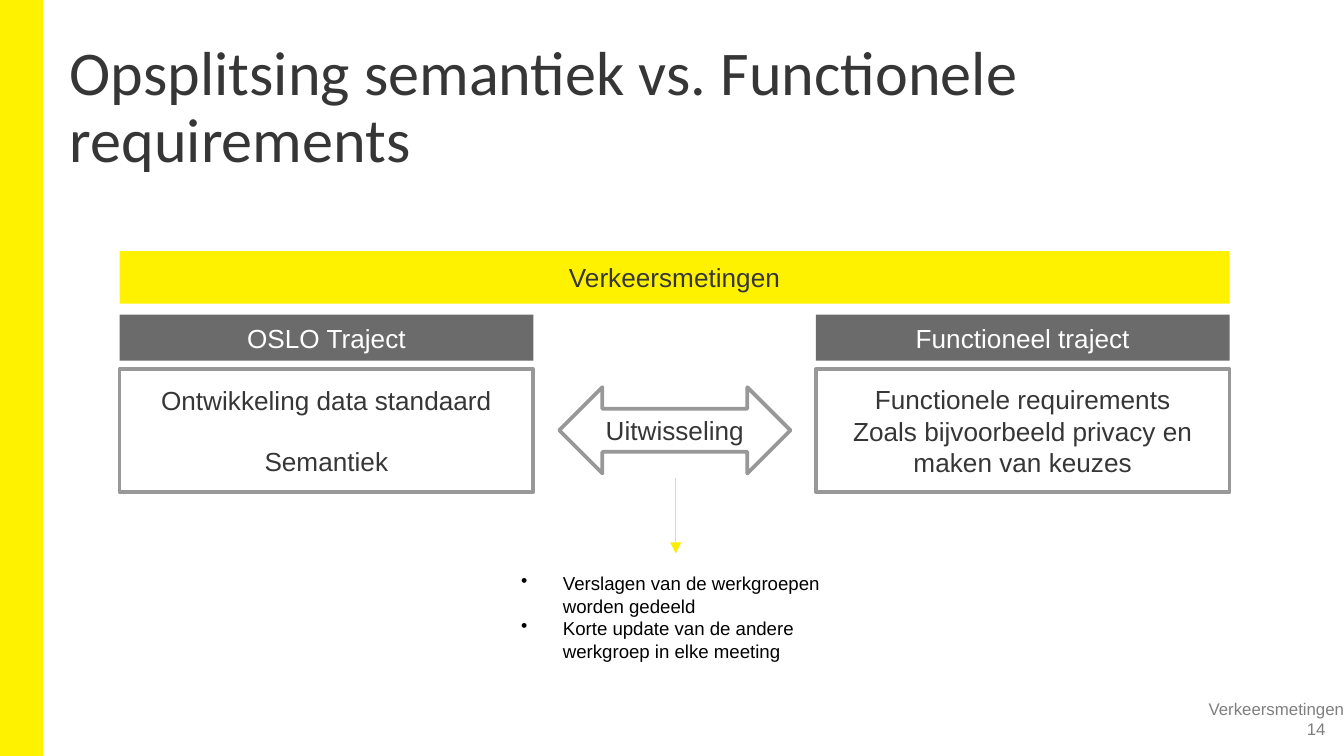
from dataclasses import dataclass
from typing import Optional

from lxml.etree import SubElement
from pptx import Presentation
from pptx.dml.color import RGBColor
from pptx.enum.shapes import MSO_CONNECTOR, MSO_SHAPE
from pptx.enum.text import MSO_ANCHOR, PP_ALIGN
from pptx.oxml.ns import qn
from pptx.util import Cm, Pt


@dataclass(frozen=True)
class Theme:
    yellow: str = "FFF200"
    arrow: str = "F9ED00"
    dark: str = "373636"
    header: str = "6B6B6B"
    border: str = "989898"
    footer: str = "7F7F7F"
    white: str = "FFFFFF"
    black: str = "000000"
    title_font: str = "Calibri"
    body_font: str = "Arial"
    title_size: float = 33.3
    block_size: float = 14
    note_size: float = 10
    footer_size: float = 9


THEME = Theme()


@dataclass(frozen=True)
class Area:
    left: float
    top: float
    width: float
    height: float

    def lengths(self) -> tuple:
        return Cm(self.left), Cm(self.top), Cm(self.width), Cm(self.height)


@dataclass(frozen=True)
class Block:
    area: Area
    lines: tuple = ()
    fill: str = THEME.white
    border: Optional[str] = None
    border_width: float = 2
    color: str = THEME.dark
    gap: float = 0
    kind: MSO_SHAPE = MSO_SHAPE.RECTANGLE


@dataclass(frozen=True)
class Label:
    area: Area
    text: str
    size: float = THEME.footer_size
    color: str = THEME.footer
    font: str = THEME.body_font
    align: PP_ALIGN = PP_ALIGN.RIGHT
    spacing: float = 1.0


def write_lines(frame, lines: tuple, size: float, color: str, font: str, align: PP_ALIGN) -> list:
    frame.word_wrap = True
    paragraphs = []
    for index, line in enumerate(lines):
        para = frame.paragraphs[0] if index == 0 else frame.add_paragraph()
        para.text = line
        para.alignment = align
        para.font.size = Pt(size)
        para.font.name = font
        para.font.color.rgb = RGBColor.from_string(color)
        paragraphs.append(para)
    return paragraphs


def draw_block(page, block: Block) -> None:
    shape = page.shapes.add_shape(block.kind, *block.area.lengths())
    shape.shadow.inherit = False
    shape.fill.solid()
    shape.fill.fore_color.rgb = RGBColor.from_string(block.fill)
    if block.border:
        shape.line.color.rgb = RGBColor.from_string(block.border)
        shape.line.width = Pt(block.border_width)
    else:
        shape.line.fill.background()
    frame = shape.text_frame
    frame.vertical_anchor = MSO_ANCHOR.MIDDLE
    paragraphs = write_lines(frame, block.lines, THEME.block_size, block.color,
                             THEME.body_font, PP_ALIGN.CENTER)
    if block.gap:
        for para in paragraphs[1:]:
            para.space_before = Pt(block.gap)


def draw_label(page, label: Label) -> None:
    frame = page.shapes.add_textbox(*label.area.lengths()).text_frame
    frame.margin_left = frame.margin_right = frame.margin_top = frame.margin_bottom = 0
    frame.vertical_anchor = MSO_ANCHOR.BOTTOM
    for para in write_lines(frame, (label.text,), label.size, label.color, label.font, label.align):
        para.line_spacing = label.spacing


def draw_arrow(page, x: float, top: float, bottom: float) -> None:
    arrow = page.shapes.add_connector(MSO_CONNECTOR.STRAIGHT, Cm(x), Cm(top), Cm(x), Cm(bottom))
    arrow.line.color.rgb = RGBColor.from_string(THEME.arrow)
    arrow.line.width = Pt(0.75)
    properties = arrow.element.spPr
    SubElement(properties.find(qn("a:ln")), qn("a:tailEnd"), type="triangle")
    SubElement(properties, qn("a:effectLst"))


def draw_bullets(page, area: Area, lines: tuple) -> None:
    frame = page.shapes.add_textbox(*area.lengths()).text_frame
    for para in write_lines(frame, lines, THEME.note_size, THEME.black,
                            THEME.body_font, PP_ALIGN.LEFT):
        properties = para._p.get_or_add_pPr()
        indent = Cm(0.79)
        properties.set("marL", str(indent))
        properties.set("indent", str(-indent))
        bullet = properties.makeelement(qn("a:buChar"), {"char": "•"})
        properties.insert_element_before(bullet, "a:tabLst", "a:defRPr", "a:extLst")


def main() -> None:
    deck = Presentation()
    deck.slide_width, deck.slide_height = Cm(25.4), Cm(14.29)
    page = deck.slides.add_slide(deck.slide_layouts[6])

    left, total_width, column_width = 2.26, 20.98, 7.82
    columns = (left, left + total_width - column_width)
    headers = ("OSLO Traject", "Functioneel traject")
    contents = (
        ("Ontwikkeling data standaard", "Semantiek"),
        ("Functionele requirements", "Zoals bijvoorbeeld privacy en maken van keuzes"),
    )
    gaps = (16, 0)

    draw_block(page, Block(Area(0, 0, 0.8, 14.29), fill=THEME.yellow,
                           border=THEME.yellow, border_width=1))
    for label in (
        Label(Area(1.32, 0.71, 23.27, 2.62), "Opsplitsing semantiek vs. Functionele requirements",
              THEME.title_size, THEME.dark, THEME.title_font, PP_ALIGN.LEFT, 0.9),
        Label(Area(16.15, 12.83, 9.25, 0.76), "Verkeersmetingen"),
        Label(Area(19.1, 13.21, 5.95, 0.76), "14"),
    ):
        draw_label(page, label)

    draw_block(page, Block(Area(left, 4.75, total_width, 0.99), ("Verkeersmetingen",), THEME.yellow))
    for x, header, lines, gap in zip(columns, headers, contents, gaps):
        draw_block(page, Block(Area(x, 5.95, column_width, 0.87), (header,),
                               THEME.header, color=THEME.white))
        draw_block(page, Block(Area(x, 6.98, column_width, 2.32), lines,
                               border=THEME.border, gap=gap))
    draw_block(page, Block(Area(10.57, 7.32, 4.37, 1.63), ("Uitwisseling",),
                           border=THEME.border, kind=MSO_SHAPE.LEFT_RIGHT_ARROW))

    draw_arrow(page, 12.77, 9.04, 10.46)
    draw_bullets(page, Area(9.6, 10.69, 6.96, 1.96), (
        "Verslagen van de werkgroepen worden gedeeld",
        "Korte update van de andere werkgroep in elke meeting",
    ))
    deck.save("out.pptx")


if __name__ == "__main__":
    main()
